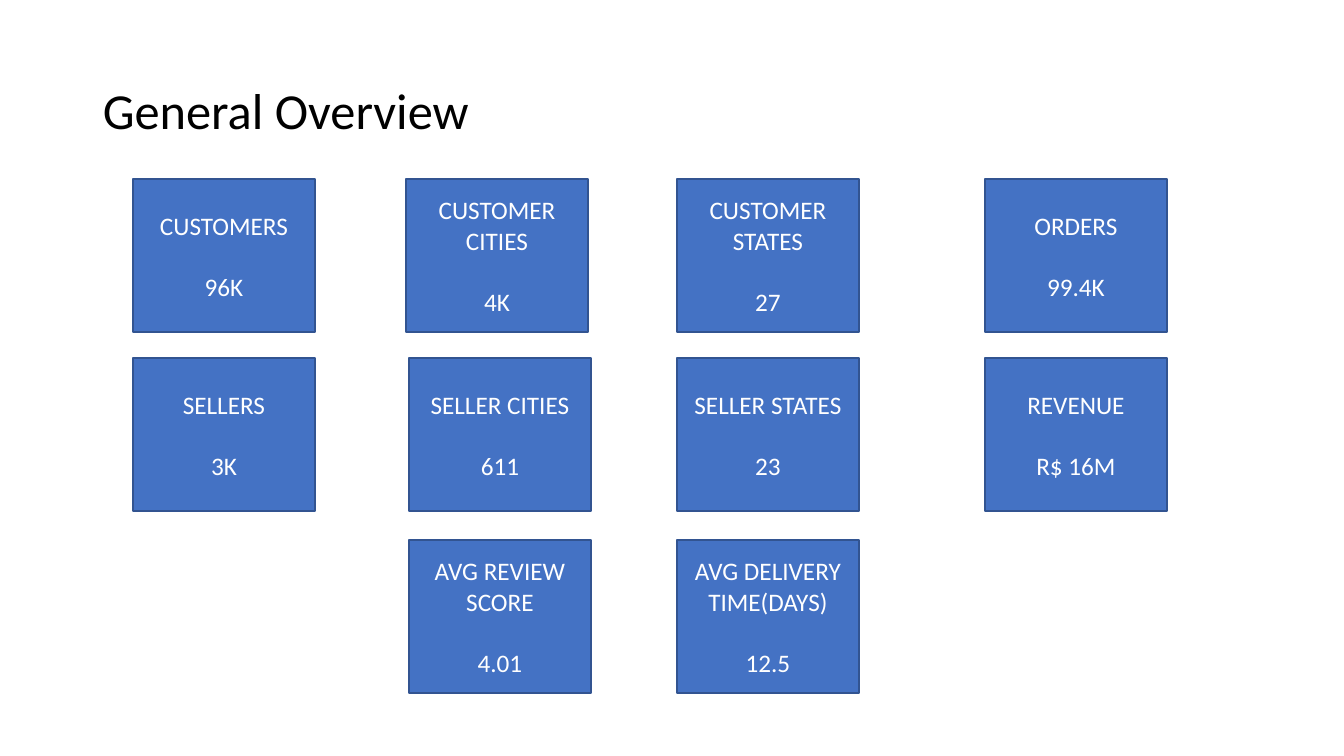
from dataclasses import dataclass

from pptx import Presentation
from pptx.dml.color import RGBColor
from pptx.enum.shapes import MSO_SHAPE
from pptx.enum.text import MSO_ANCHOR, PP_ALIGN
from pptx.util import Emu, Pt

# Content: one list per row of cards, as (column, label, value)
TITLE = "General Overview"
CARD_ROWS = [
    [(0, "CUSTOMERS", "96K"), (1, "CUSTOMER CITIES", "4K"),
     (2, "CUSTOMER STATES", "27"), (3, "ORDERS", "99.4K")],
    [(0, "SELLERS", "3K"), (1, "SELLER CITIES", "611"),
     (2, "SELLER STATES", "23"), (3, "REVENUE", "R$ 16M")],
    [(1, "AVG REVIEW SCORE", "4.01"), (2, "AVG DELIVERY TIME(DAYS)", "12.5")],
]

# Layout in px
SLIDE_SIZE = (1344, 756)
TITLE_BOX = (93, 40, 1159, 146)
COLUMN_LEFTS = [133, 409, 677, 985]
FIRST_ROW_SHIFTS = {1: -3}
ROW_TOPS = [179, 358, 540]
CARD_SIZE = (182, 153)


@dataclass(frozen=True)
class Theme:
    font: str = "Calibri"
    title_size: int = 36
    card_size: int = 18
    value_gap: int = 22
    background: str = "FFFFFF"
    title: str = "000000"
    card_fill: str = "4472C4"
    card_line: str = "325491"
    card_text: str = "FFFFFF"


THEME = Theme()


def px(length):
    return Emu(round(length * 914400 / 100.8))


def color(value):
    return RGBColor.from_string(value)


def add_run(paragraph, text, size, text_color):
    run = paragraph.add_run()
    run.text = text
    run.font.name = THEME.font
    run.font.size = Pt(size)
    run.font.color.rgb = color(text_color)


def add_title(slide):
    shape = slide.shapes.add_textbox(*map(px, TITLE_BOX))
    frame = shape.text_frame
    frame.word_wrap = True
    frame.vertical_anchor = MSO_ANCHOR.MIDDLE
    paragraph = frame.paragraphs[0]
    paragraph.line_spacing = 0.9
    add_run(paragraph, TITLE, THEME.title_size, THEME.title)


def add_card(slide, left, top, label, value):
    shape = slide.shapes.add_shape(
        MSO_SHAPE.RECTANGLE, *map(px, (left, top, *CARD_SIZE)))
    shape.shadow.inherit = False
    shape.fill.solid()
    shape.fill.fore_color.rgb = color(THEME.card_fill)
    shape.line.color.rgb = color(THEME.card_line)
    shape.line.width = Pt(1)

    frame = shape.text_frame
    frame.word_wrap = True
    frame.vertical_anchor = MSO_ANCHOR.MIDDLE
    label_paragraph = frame.paragraphs[0]
    value_paragraph = frame.add_paragraph()
    value_paragraph.space_before = Pt(THEME.value_gap)
    for paragraph, text in ((label_paragraph, label), (value_paragraph, value)):
        paragraph.alignment = PP_ALIGN.CENTER
        add_run(paragraph, text, THEME.card_size, THEME.card_text)


def main():
    presentation = Presentation()
    presentation.slide_width, presentation.slide_height = map(px, SLIDE_SIZE)
    slide = presentation.slides.add_slide(presentation.slide_layouts[6])
    slide.background.fill.solid()
    slide.background.fill.fore_color.rgb = color(THEME.background)

    add_title(slide)

    # Grid of cards
    for row, (top, cards) in enumerate(zip(ROW_TOPS, CARD_ROWS)):
        shifts = FIRST_ROW_SHIFTS if row == 0 else {}
        for column, label, value in cards:
            left = COLUMN_LEFTS[column] + shifts.get(column, 0)
            add_card(slide, left, top, label, value)

    presentation.save("out.pptx")


if __name__ == "__main__":
    main()
